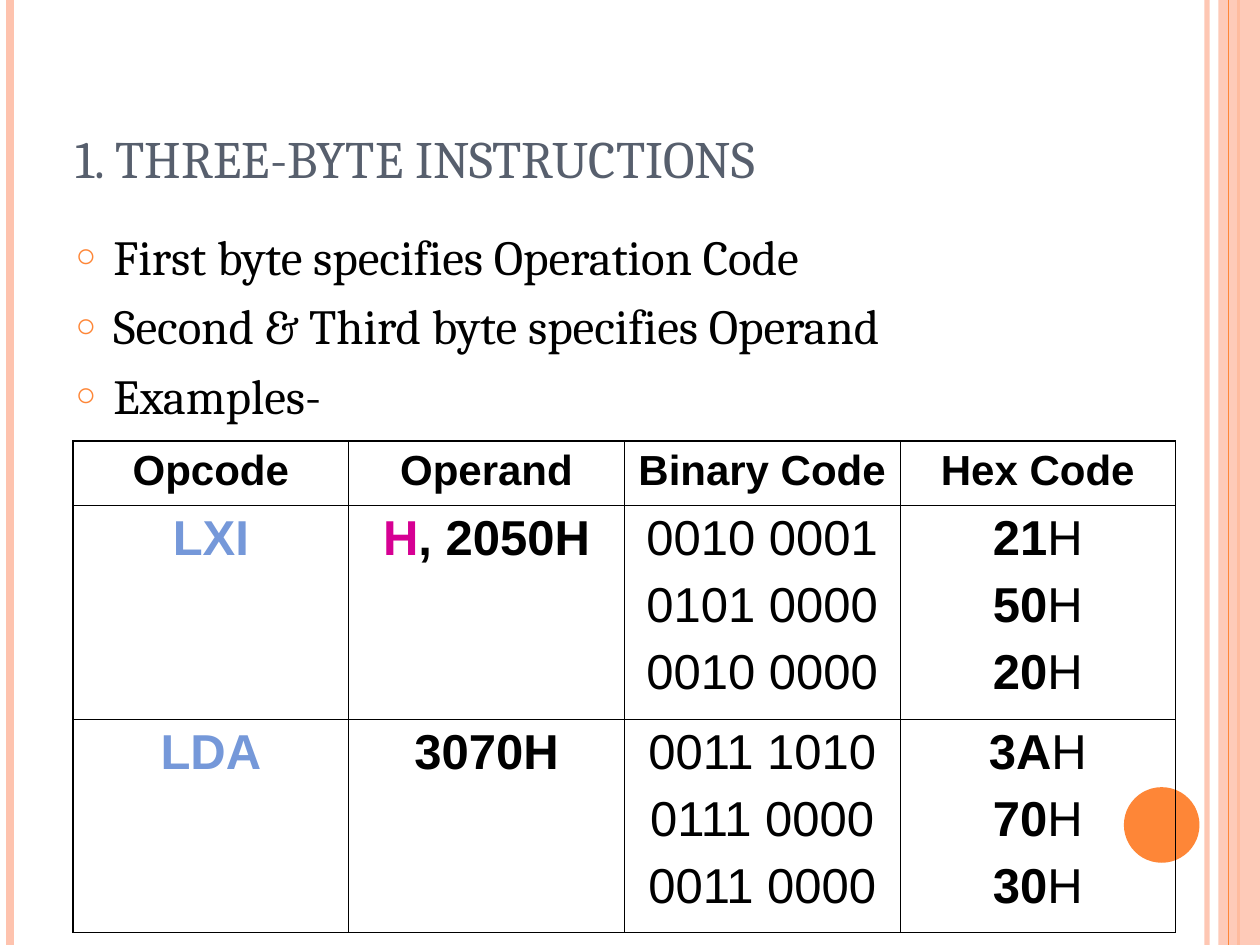
import pptx
import pptx.dml.color
import pptx.enum.shapes
import pptx.enum.text
import pptx.oxml
import pptx.oxml.ns
import pptx.util
import lxml.etree

RGBColor = pptx.dml.color.RGBColor
Pt = pptx.util.Pt
Inches = pptx.util.Inches
MSO_SHAPE = pptx.enum.shapes.MSO_SHAPE
PP_ALIGN = pptx.enum.text.PP_ALIGN
qn = pptx.oxml.ns.qn

PEACH = RGBColor(0xFE, 0xC3, 0xAE)
ORANGE = RGBColor(0xFE, 0x86, 0x37)
SLATE = RGBColor(0x57, 0x5F, 0x6D)
BLACK = RGBColor(0, 0, 0)
BLUE = RGBColor(0x75, 0x98, 0xD9)
MAGENTA = RGBColor(0xD6, 0x00, 0x93)

WIDTH, HEIGHT = Inches(10), Inches(7.5)
OUTER, INNER = Pt(1.08), Pt(0.45)

HEADINGS = ["Opcode", "Operand", "Binary Code", "Hex Code"]
INSTRUCTIONS = [
    ("LXI", "H", ", 2050H", [("0010 0001", "21"), ("0101 0000", "50"), ("0010 0000", "20")]),
    ("LDA", "", "3070H", [("0011 1010", "3A"), ("0111 0000", "70"), ("0011 0000", "30")]),
]


def add_child(parent, tag, **attributes):
    child = lxml.etree.SubElement(parent, qn(tag))
    for key, value in attributes.items():
        child.set(key, str(value))
    return child


def set_alpha(color_format_owner, percent):
    for color in color_format_owner.iter(qn("a:srgbClr")):
        add_child(color, "a:alpha", val=percent * 1000)


def style_run(run, font, size, color, bold=False):
    run.font.name = font
    run.font.size = Pt(size)
    run.font.color.rgb = color
    run.font.bold = bold


def place(shape, box):
    shape.left, shape.top, shape.width, shape.height = box


def add_rule(slide, box, share, weight, color, opacity=100):
    left, top, width, height = box
    x = left + int(width * share)
    rule = slide.shapes.add_connector(
        pptx.enum.shapes.MSO_CONNECTOR.STRAIGHT, x, top, x, top + height)
    rule.line.color.rgb = color
    rule.line.width = Pt(weight)
    if opacity < 100:
        set_alpha(rule.line._get_or_add_ln(), opacity)
    add_child(rule._element.spPr, "a:effectLst")


def add_panel(slide, kind, box, color):
    panel = slide.shapes.add_shape(kind, *box)
    panel.shadow.inherit = False
    panel.fill.solid()
    panel.fill.fore_color.rgb = color
    panel.line.fill.background()
    return panel


def draw_frame(slide, box):
    left, top, width, height = box
    add_rule(slide, box, 0.958, 3, PEACH, 93)
    add_rule(slide, box, 0.008, 4.5, PEACH)
    add_rule(slide, box, 0.983, 1.5, ORANGE)
    band_left = left + int(width * 0.967)
    band = add_panel(slide, MSO_SHAPE.RECTANGLE,
                     (band_left, top, left + width - band_left, height), PEACH)
    set_alpha(band._element.spPr, 87)
    add_rule(slide, box, 0.975, 0.75, ORANGE)
    diameter = int(width * 0.06)
    add_panel(slide, MSO_SHAPE.OVAL,
              (left + int(width * 0.892), top + int(height * 0.833), diameter, diameter), ORANGE)


def fill_title(title, box):
    place(title, box)
    frame = title.text_frame
    frame.text = "1. THREE-BYTE INSTRUCTIONS"
    frame.auto_size = pptx.enum.text.MSO_AUTO_SIZE.NONE
    frame.vertical_anchor = pptx.enum.text.MSO_ANCHOR.BOTTOM
    frame.paragraphs[0].alignment = PP_ALIGN.LEFT
    style_run(frame.paragraphs[0].runs[0], "Cambria", 30, SLATE)


def fill_points(body, box):
    place(body, box)
    frame = body.text_frame
    frame.text = ("First byte specifies Operation Code\n"
                  "Second & Third byte specifies Operand\nExamples-")
    frame.auto_size = pptx.enum.text.MSO_AUTO_SIZE.NONE
    for point in frame.paragraphs:
        point.space_before = Pt(6)
        style_run(point.runs[0], "Cambria", 28, BLACK)
        properties = point._p.get_or_add_pPr()
        properties.set("marL", str(Inches(0.3)))
        properties.set("indent", str(-Inches(0.3)))
        add_child(add_child(properties, "a:buClr"), "a:srgbClr", val=ORANGE)
        add_child(properties, "a:buSzPct", val=70000)
        add_child(properties, "a:buFont", typeface="Arial")
        add_child(properties, "a:buChar", char="○")


def write_cell(cell, lines, size, space):
    frame = cell.text_frame
    for index, parts in enumerate(lines):
        paragraph = frame.paragraphs[0] if index == 0 else frame.add_paragraph()
        paragraph.alignment = PP_ALIGN.CENTER
        paragraph.space_before = Pt(space)
        for text, color, bold in parts:
            run = paragraph.add_run()
            run.text = text
            style_run(run, "Arial", size, color, bold)


def set_borders(cell, row, column, last_row, last_column):
    properties = cell._tc.get_or_add_tcPr()
    on_edge = {"a:lnL": column == 0, "a:lnR": column == last_column,
               "a:lnT": row == 0, "a:lnB": row == last_row}
    for tag, outer in on_edge.items():
        border = add_child(properties, tag, w=OUTER if outer else INNER)
        add_child(add_child(border, "a:solidFill"), "a:srgbClr", val=BLACK)


def instruction_cells(opcode, register, address, code_bytes):
    operand = [(register, MAGENTA, True)] if register else []
    return [
        [[(opcode, BLUE, True)]],
        [operand + [(address, BLACK, True)]],
        [[(binary, BLACK, False)] for binary, _ in code_bytes],
        [[(digits, BLACK, True), ("H", BLACK, False)] for _, digits in code_bytes],
    ]


def draw_table(slide, box):
    contents = [[[[(heading, BLACK, True)]] for heading in HEADINGS]]
    contents += [instruction_cells(*instruction) for instruction in INSTRUCTIONS]
    row_count, column_count = len(contents), len(HEADINGS)
    table = slide.shapes.add_table(row_count, column_count, *box).table
    table.first_row = False
    table.horz_banding = False
    heading_height = int(box[3] * 0.13)
    for row, cells in enumerate(contents):
        heading = row == 0
        table.rows[row].height = (heading_height if heading
                                  else (box[3] - heading_height) // (row_count - 1))
        for column, lines in enumerate(cells):
            cell = table.cell(row, column)
            write_cell(cell, lines, 24 if heading else 28, 6 if heading else 7)
            set_borders(cell, row, column, row_count - 1, column_count - 1)
            cell.fill.background()


def share_box(left, top, width, height):
    return (int(WIDTH * left), int(HEIGHT * top), int(WIDTH * width), int(HEIGHT * height))


def main():
    deck = pptx.Presentation()
    deck.slide_width, deck.slide_height = WIDTH, HEIGHT
    slide = deck.slides.add_slide(deck.slide_layouts[1])
    draw_frame(slide, share_box(0, 0, 1, 1))
    fill_title(slide.shapes.title, share_box(0.05, 0.04, 0.9, 0.167))
    fill_points(slide.placeholders[1], share_box(0.05, 0.233, 0.892, 0.244))
    draw_table(slide, share_box(0.058, 0.467, 0.875, 0.52))
    deck.save("out.pptx")


if __name__ == "__main__":
    main()
